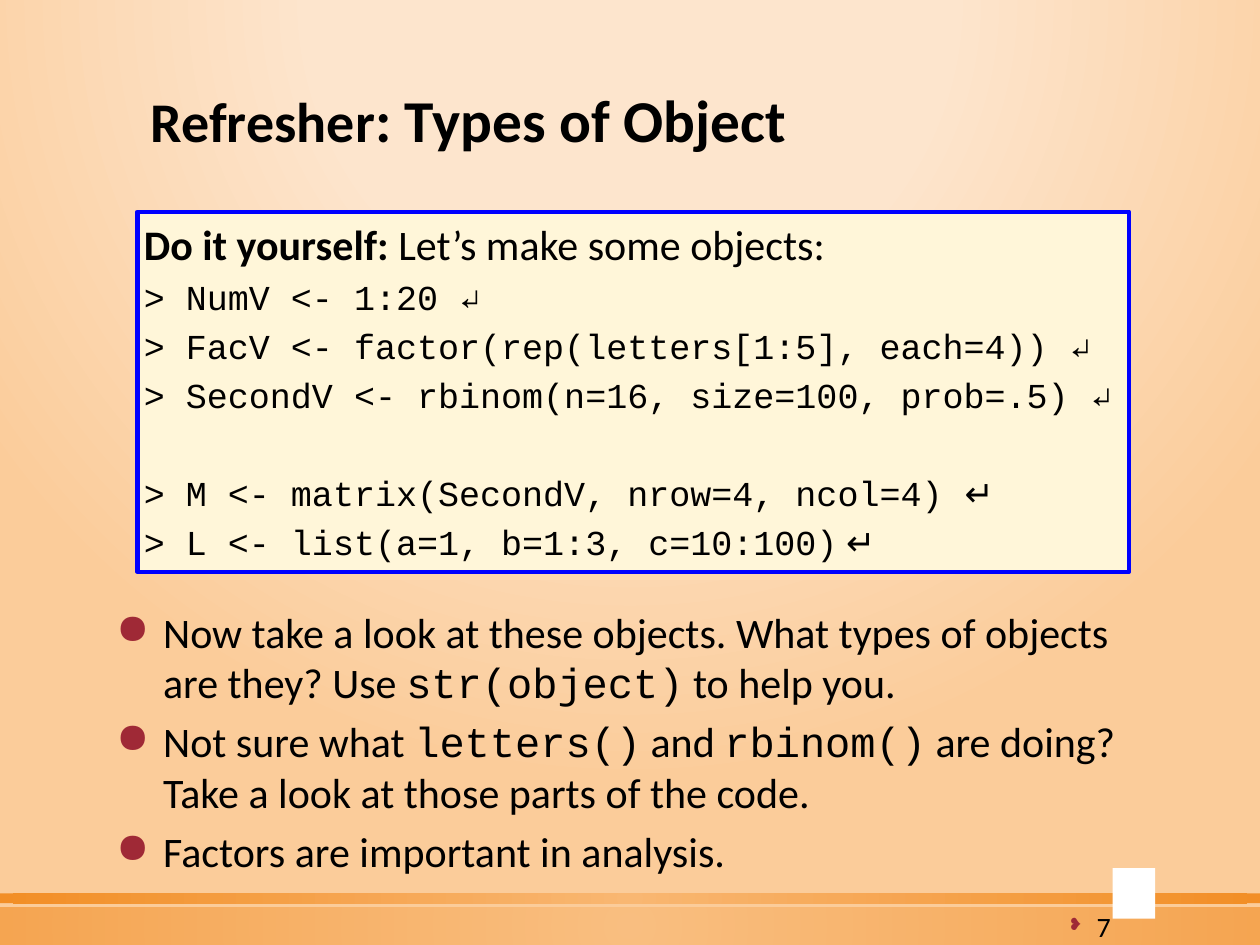
from pptx import Presentation
from pptx import util as u
from pptx.dml.color import RGBColor
from pptx.enum import shapes, text
from pptx.oxml import parse_xml
from pptx.oxml.ns import nsdecls, qn

ink = {"text": "000000", "dot": "9F2936", "cream": "FFF6D9", "edge": "0000FF",
       "white": "FFFFFF", "pale": "FDE5CD", "peach": "FBCC9A",
       "light": "F9B268", "deep": "F07F09"}
sans, mono = "Calibri", "Courier New"

deck = Presentation()
deck.slide_width, deck.slide_height = u.Cm(25.4), u.Cm(19.05)
slide = deck.slides.add_slide(deck.slide_layouts[6])


def shade(fill, props, stops, top, low):
    fill.gradient()
    old = props.find(qn("a:gradFill"))
    marks = "".join(
        f'<a:gs pos="{at * 1000}"><a:srgbClr val="{ink[name]}">'
        f'<a:alpha val="{alpha * 1000}"/></a:srgbClr></a:gs>'
        for at, name, alpha in stops)
    new = parse_xml(
        f'<a:gradFill {nsdecls("a")} rotWithShape="1"><a:gsLst>{marks}</a:gsLst>'
        f'<a:path path="circle"><a:fillToRect l="50000" t="{top * 1000}" '
        f'r="50000" b="{low * 1000}"/></a:path></a:gradFill>')
    props.replace(old, new)


def write(para, parts, bullet=None, scale=100):
    for words, font, size, bold in parts:
        run = para.add_run()
        run.text = words
        run.font.name, run.font.size, run.font.bold = font, u.Pt(size), bold
        run.font.color.rgb = RGBColor.from_string(ink["text"])
    if bullet:
        props = para._p.get_or_add_pPr()
        for tag in (f'<a:buClr {nsdecls("a")}><a:srgbClr val="{ink["dot"]}"/></a:buClr>',
                    f'<a:buSzPct {nsdecls("a")} val="{scale * 1000}"/>',
                    f'<a:buChar {nsdecls("a")} char="{bullet}"/>'):
            props.append(parse_xml(tag))


back = slide.background.fill
shade(back, slide._element.cSld.find(qn("p:bg")).find(qn("p:bgPr")),
      [(0, "pale", 100), (40, "pale", 100), (100, "peach", 100)], -80, 180)

for top, high, alpha in ((18.29, 0.76, 50), (18.01, 0.2, 80)):
    bar = slide.shapes.add_shape(shapes.MSO_SHAPE.RECTANGLE,
                                 0, u.Cm(top), deck.slide_width, u.Cm(high))
    bar.shadow.inherit = False
    bar.line.fill.background()
    shade(bar.fill, bar._element.spPr,
          [(0, "light", alpha), (100, "deep", alpha)], 50, 50)

tab = slide.shapes.add_shape(shapes.MSO_SHAPE.RECTANGLE,
                             u.Cm(22.43), u.Cm(17.5), u.Cm(0.86), u.Cm(1.02))
code = slide.shapes.add_shape(shapes.MSO_SHAPE.RECTANGLE,
                              u.Cm(2.77), u.Cm(4.27), u.Cm(19.99), u.Cm(7.26))
for box, name in ((tab, "white"), (code, "cream")):
    box.shadow.inherit = False
    box.fill.solid()
    box.fill.fore_color.rgb = RGBColor.from_string(ink[name])
tab.line.fill.background()
code.line.color.rgb = RGBColor.from_string(ink["edge"])
code.line.width = u.Pt(2.5)

title = slide.shapes.add_textbox(u.Cm(2.79), u.Cm(1.3), u.Cm(19.81), u.Cm(2.39))
page = slide.shapes.add_textbox(u.Cm(21.29), u.Cm(18.34), u.Cm(1.35), u.Cm(0.66))
notes = slide.shapes.add_textbox(u.Cm(2.21), u.Cm(12.09), u.Cm(20.65), u.Cm(5.74))
for box in (title, page, code, notes):
    box.text_frame.word_wrap = True
for box in (title, page):
    box.text_frame.vertical_anchor = text.MSO_ANCHOR.MIDDLE
for box in (code, notes):
    frame = box.text_frame
    frame.vertical_anchor = text.MSO_ANCHOR.TOP
    frame.margin_left = frame.margin_right = u.Cm(0.13)
    frame.margin_top = frame.margin_bottom = u.Cm(0.13)

head = title.text_frame.paragraphs[0]
head.line_spacing = 0.9
write(head, [("Refresher", sans, 32, True), (": Types of Object", sans, 33.9, True)])

num = page.text_frame.paragraphs[0]
num.alignment = text.PP_ALIGN.RIGHT
num.space_before = u.Pt(3)
write(num, [("7", sans, 16, False)], "❥", 60)

lines = [
    (12, [("Do it yourself: ", sans, 24, True),
          ("Let’s make some objects: ", sans, 24, False)]),
    (4, [("> NumV <- 1:20 ↵", mono, 20, False)]),
    (4, [("> FacV <- factor(rep(letters[1:5], each=4)) ↵", mono, 20, False)]),
    (4, [("> SecondV <- rbinom(n=16, size=100, prob=.5) ↵", mono, 20, False)]),
    (32, [("> M <- matrix(SecondV, nrow=4, ncol=4) ", mono, 20, False),
          ("↵", sans, 20, False)]),
    (4, [("> L <- list(a=1, b=1:3, c=10:100)", mono, 20, False),
         (" ↵", sans, 20, False)]),
]
frame = code.text_frame
for i, (gap, parts) in enumerate(lines):
    para = frame.add_paragraph() if i else frame.paragraphs[0]
    para.alignment = text.PP_ALIGN.LEFT
    para.space_before = u.Pt(gap)
    write(para, parts)

points = [
    ["Now take a look at these objects. What types of objects are they? Use ",
     "str(object)", " to help you."],
    ["Not sure what ", "letters()", " and ", "rbinom()",
     " are doing? Take a look at those parts of the code."],
    ["Factors are important in analysis."],
]
frame = notes.text_frame
for i, parts in enumerate(points):
    para = frame.add_paragraph() if i else frame.paragraphs[0]
    para.space_before = u.Pt(5)
    props = para._p.get_or_add_pPr()
    props.set("marL", str(u.Cm(0.95)))
    props.set("indent", str(u.Cm(-0.95)))
    write(para, [(words, (sans, mono)[j % 2], 24, False)
                 for j, words in enumerate(parts)], "●")

deck.save("out.pptx")
